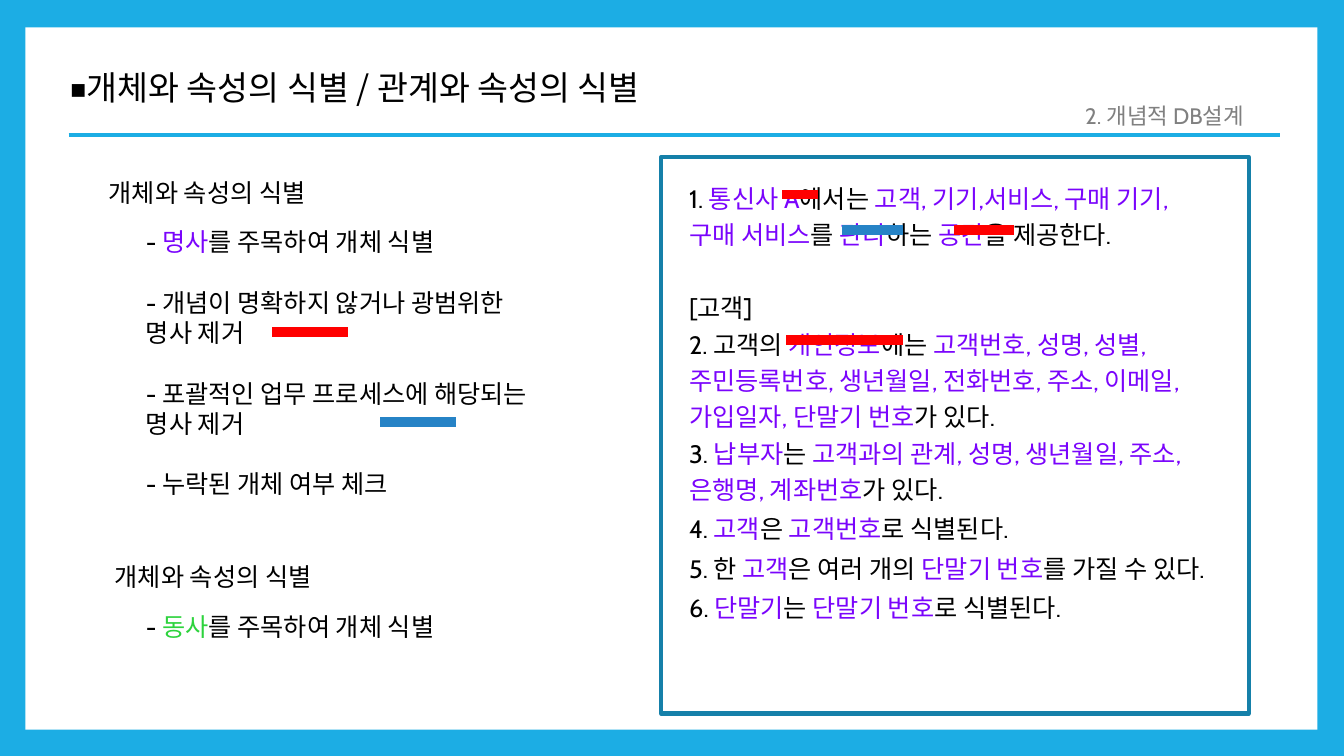
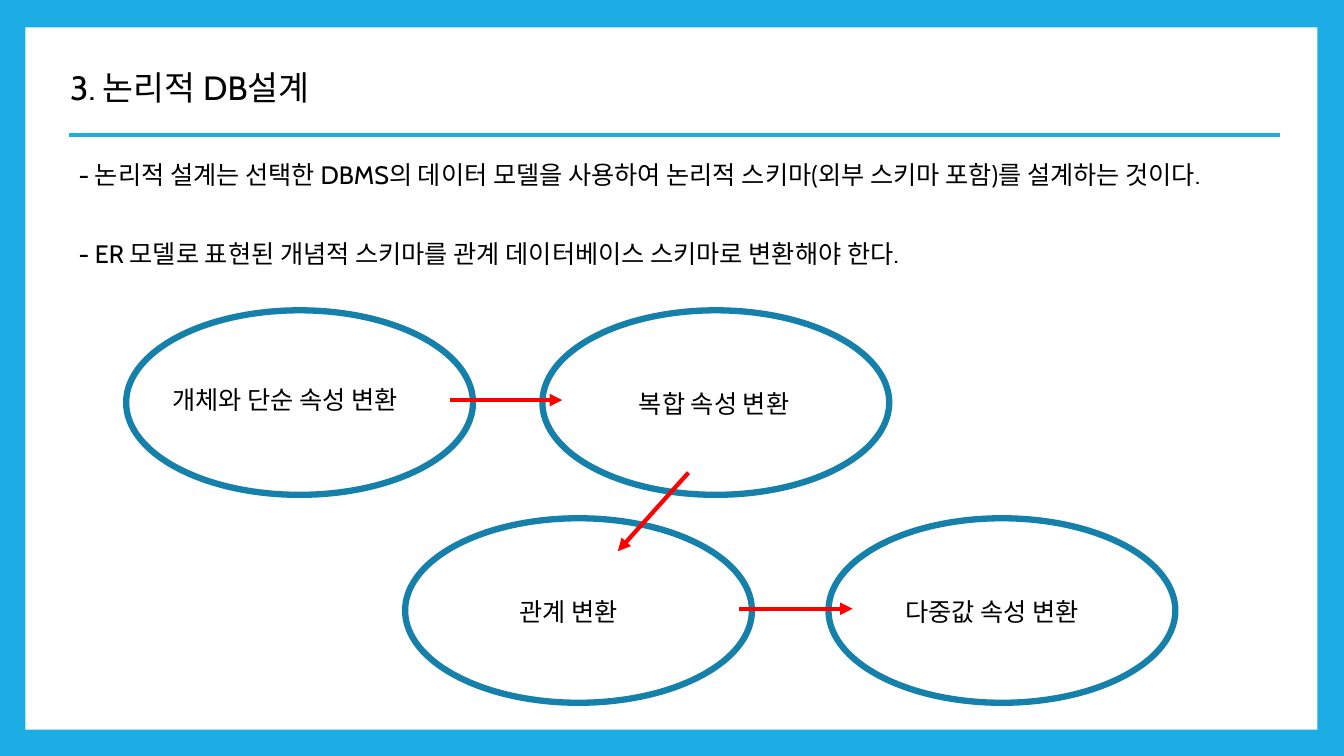
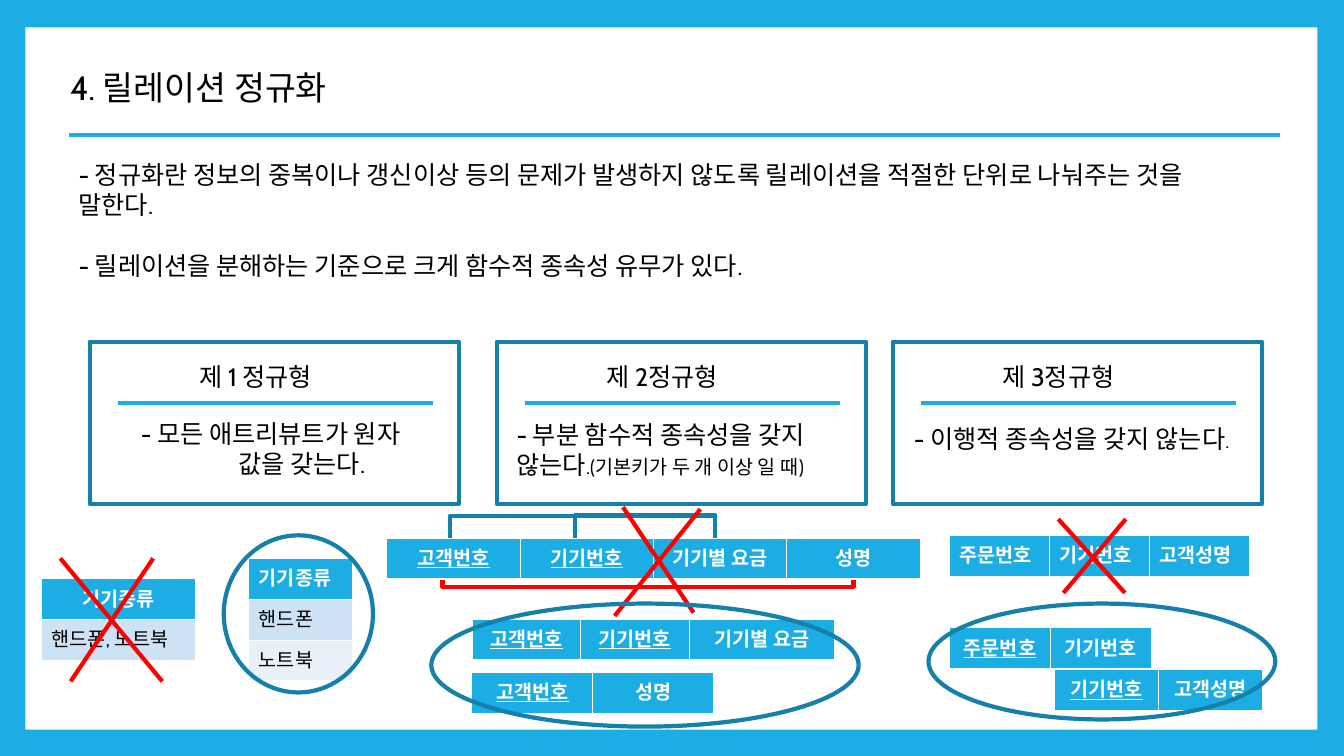
"""Build three slides on database design and normalization."""
from dataclasses import dataclass

from lxml import etree
from pptx import Presentation
from pptx.dml.color import RGBColor
from pptx.enum.shapes import MSO_CONNECTOR, MSO_SHAPE
from pptx.enum.text import MSO_ANCHOR, PP_ALIGN
from pptx.oxml.ns import qn
from pptx.util import Cm, Pt

RECTANGLE, OVAL = MSO_SHAPE.RECTANGLE, MSO_SHAPE.OVAL
STRAIGHT = MSO_CONNECTOR.STRAIGHT
LEFT, CENTER = PP_ALIGN.LEFT, PP_ALIGN.CENTER
MIDDLE = MSO_ANCHOR.MIDDLE


@dataclass(frozen=True)
class Theme:
    """Colours, fonts, type sizes and line widths of the deck."""
    sky: str = "1CADE4"
    outline: str = "1580A9"
    blue: str = "2683C6"
    red: str = "FF0000"
    violet: str = "7A04FC"
    green: str = "2DD33D"
    gray: str = "808080"
    black: str = "000000"
    white: str = "FFFFFF"
    bands: tuple = ("E8F1FA", "CDE3F5")
    font: str = "Cabin"
    title_font: str = "Noto Sans CJK KR"
    title: float = 24
    body: float = 18
    tag: float = 16
    small: float = 14
    blank_line: float = 21.6
    thin: float = 3
    thick: float = 4.5
    marker: float = 7


THEME = Theme()


def color(code):
    """Return the colour for a hexadecimal code."""
    return RGBColor.from_string(code)


def style_paragraph(para, size, code, font=THEME.font, align=LEFT):
    """Set the font and alignment of a whole paragraph."""
    para.alignment = align
    para.font.size = Pt(size)
    para.font.name = font
    para.font.color.rgb = color(code)
    defaults = para._p.get_or_add_pPr().get_or_add_defRPr()
    etree.SubElement(defaults, qn("a:ea")).set("typeface", font)


def fill_paragraph(para, text, accent=None, accent_size=None):
    """Write text in which pieces between asterisks are accented."""
    for index, piece in enumerate(text.split("*")):
        if not piece:
            continue
        span = para.add_run()
        span.text = piece
        if index % 2 and accent:
            span.font.color.rgb = color(accent)
        if index % 2 and accent_size:
            span.font.size = Pt(accent_size)


def add_text(page, box, lines, size=THEME.body, code=THEME.black, font=THEME.font,
             align=LEFT, gap=0, accent=None, accent_size=None):
    """Add a wrapping text box with one paragraph a line and return its paragraphs."""
    frame = page.shapes.add_textbox(*map(Cm, box)).text_frame
    frame.word_wrap = True
    for index, text in enumerate(lines):
        para = frame.add_paragraph() if index else frame.paragraphs[0]
        style_paragraph(para, size, code, font, align)
        if index and gap:
            para.space_before = Pt(gap)
        fill_paragraph(para, text, accent, accent_size)
    return frame.paragraphs


def add_outline(page, box, kind=RECTANGLE, code=THEME.outline, width=THEME.thin):
    """Add an unfilled shape with a coloured outline."""
    shape = page.shapes.add_shape(kind, *map(Cm, box))
    shape.shadow.inherit = False
    shape.fill.background()
    shape.line.color.rgb = color(code)
    shape.line.width = Pt(width)


def add_line(page, ends, code=THEME.red, width=THEME.thin, arrow=False):
    """Add a straight line, with an arrowhead at its end if asked."""
    line = page.shapes.add_connector(STRAIGHT, *map(Cm, ends))
    line.line.color.rgb = color(code)
    line.line.width = Pt(width)
    if arrow:
        head = etree.SubElement(line.line._get_or_add_ln(), qn("a:tailEnd"))
        head.set("type", "triangle")
    etree.SubElement(line._element.spPr, qn("a:effectLst"))


def add_marks(page, left, top, marks):
    """Add thick horizontal strokes given as offset, length and colour."""
    for x, y, length, code in marks:
        ends = (left + x, top + y, left + x + length, top + y)
        add_line(page, ends, code, THEME.marker)


def add_grid(page, left, top, widths, rows, keys=0, align=CENTER):
    """Add a table with a header row whose first keys are underlined."""
    height = 1.03
    box = (left, top, sum(widths), height * len(rows))
    table = page.shapes.add_table(len(rows), len(widths), *map(Cm, box)).table
    for column, width in zip(table.columns, widths):
        column.width = Cm(width)
    for row_index, row in enumerate(rows):
        header = row_index == 0
        table.rows[row_index].height = Cm(height)
        for column_index, text in enumerate(row):
            cell = table.cell(row_index, column_index)
            cell.vertical_anchor = MIDDLE
            cell.fill.solid()
            cell.fill.fore_color.rgb = color(
                THEME.sky if header else THEME.bands[row_index % 2])
            para = cell.text_frame.paragraphs[0]
            fill_paragraph(para, text)
            style_paragraph(para, THEME.small, THEME.white if header else THEME.black,
                            align=align if header else LEFT)
            para.font.bold = header
            para.font.underline = header and column_index < keys


def add_page(deck, title, font=THEME.font):
    """Add a slide with the white panel, title and rule."""
    page = deck.slides.add_slide(deck.slide_layouts[6])
    panel = page.shapes.add_shape(RECTANGLE, Cm(0.64), Cm(0.69), Cm(32.56), Cm(17.7))
    panel.shadow.inherit = False
    panel.fill.solid()
    panel.fill.fore_color.rgb = color(THEME.white)
    panel.line.fill.background()
    add_text(page, (1.52, 1.57, 22.4, 1.28), [title], THEME.title, font=font)
    add_line(page, (1.73, 3.4, 32.26, 3.4), THEME.sky)
    return page


def add_section(page, left, top, indent, heading, bullets, accent):
    """Add a heading with its list of points below."""
    add_text(page, (left, top, 8.66, 1), [heading], align=CENTER)
    add_text(page, (left + indent, top + 1.25, 10.67, 1.8), bullets,
             gap=THEME.blank_line, accent=accent)


def add_requirements(page, left, top, width, height):
    """Add the framed requirements with the struck nouns."""
    add_outline(page, (left, top, width, height))
    lines = [
        "1. *통신사 A*에서는 *고객, 기기,서비스, 구매 기기, 구매 서비스*를 *관리*하는 *공간*을 제공한다.",
        "[고객]",
        "2. 고객의 *개인정보*에는 *고객번호, 성명, 성별, 주민등록번호, 생년월일, 전화번호, 주소, "
        "이메일, 가입일자, 단말기 번호*가 있다.",
        "3. *납부자*는 *고객과의 관계, 성명, 생년월일, 주소, 은행명, 계좌번호*가 있다.",
        "4. *고객*은 *고객번호*로 식별된다.",
        "5. 한 *고객*은 여러 개의 *단말기 번호*를 가질 수 있다.",
        "6. *단말기*는 *단말기 번호*로 식별된다.",
    ]
    box = (left + 0.46, top + 0.38, width - 1.25, height - 1.45)
    paras = add_text(page, box, lines, accent=THEME.violet)
    for index, para in enumerate(paras):
        para.line_spacing = Pt(26 if index < 4 else 28)
    paras[1].space_before = Pt(26)
    add_marks(page, left, top, [
        (3.05, 0.94, 0.91, THEME.red), (7.39, 1.84, 1.5, THEME.red),
        (4.57, 1.84, 1.53, THEME.blue), (3.15, 4.6, 2.95, THEME.red)])


def add_step(page, left, top, label, x, y):
    """Add an ellipse with a label at an offset inside it."""
    add_outline(page, (left, top, 8.74, 4.65), OVAL, width=THEME.thick)
    add_text(page, (left + x, top + y, 6.73, 1), [label])


def add_form_card(page, left, top, heading, body, x, y, width, hanging=0):
    """Add a framed normal form with its heading, rule and definition."""
    add_outline(page, (left, top, 9.3, 4.09))
    add_line(page, (left + 0.71, top + 1.55, left + 8.66, top + 1.55), THEME.sky)
    add_text(page, (left + 2.51, top + 0.38, 4.32, 1.04), [heading])
    paras = add_text(page, (left + x, top + y, width, 1.8), [body],
                     accent_size=THEME.small)
    if hanging:
        properties = paras[0]._p.get_or_add_pPr()
        properties.set("marL", str(Cm(hanging)))
        properties.set("indent", str(-Cm(hanging)))


def add_example(page, left, top, grids, strikes, ring, brackets=()):
    """Add brackets, tables, the crossing strokes and the ring of one example."""
    for x, y, width, height, code in brackets:
        add_outline(page, (left + x, top + y, width, height), code=code)
    for x, y, *details in grids:
        add_grid(page, left + x, top + y, *details)
    for x1, y1, x2, y2 in strikes:
        add_line(page, (left + x1, top + y1, left + x2, top + y2))
    x, y, width, height = ring
    add_outline(page, (left + x, top + y, width, height), OVAL)


def build_identification(deck):
    """Build the slide on identifying entities, relations and attributes."""
    page = add_page(deck, "◾개체와 속성의 식별 / 관계와 속성의 식별", THEME.title_font)
    add_text(page, (27.1, 2.46, 5.16, 0.93), ["2. 개념적 DB설계"], THEME.tag, THEME.gray)
    add_requirements(page, 16.66, 3.96, 14.81, 14.02)
    heading = "개체와 속성의 식별"
    add_section(page, 0.89, 4.34, 2.54, heading, [
        "- *명사*를 주목하여 개체 식별",
        "- 개념이 명확하지 않거나 광범위한 명사 제거",
        "- 포괄적인 업무 프로세스에 해당되는 명사 제거",
        "- 누락된 개체 여부 체크"], THEME.violet)
    add_marks(page, 0.89, 4.34, [
        (5.97, 4.02, 1.9, THEME.red), (8.69, 6.3, 1.9, THEME.blue)])
    add_section(page, 1.04, 14.02, 2.39, heading,
                ["- *동사*를 주목하여 개체 식별"], THEME.green)


def build_logical_design(deck):
    """Build the slide on logical design and its four conversions."""
    page = add_page(deck, "3. 논리적 DB설계")
    add_text(page, (1.73, 3.89, 30.53, 1), [
        "- 논리적 설계는 선택한 DBMS의 데이터 모델을 사용하여 논리적 스키마(외부 스키마 포함)를 설계하는 것이다."])
    add_text(page, (1.73, 5.87, 29.46, 1), [
        "- ER 모델로 표현된 개념적 스키마를 관계 데이터베이스 스키마로 변환해야 한다."])
    for step in [
        (3.18, 7.82, "개체와 단순 속성 변환", 0.91, 1.75),
        (13.67, 7.82, "복합 속성 변환", 2.18, 1.83),
        (10.21, 13.06, "관계 변환", 2.64, 1.85),
        (20.88, 13.06, "다중값 속성 변환", 1.68, 1.85),
    ]:
        add_step(page, *step)
    for ends in [(11.33, 10.08, 14.17, 10.08), (18.62, 15.34, 21.49, 15.34),
                 (17.35, 11.91, 15.57, 13.89)]:
        add_line(page, ends, arrow=True)


def build_normalization(deck):
    """Build the slide on the three normal forms."""
    page = add_page(deck, "4. 릴레이션 정규화")
    add_text(page, (1.73, 3.89, 29.46, 1.8), [
        "- 정규화란 정보의 중복이나 갱신이상 등의 문제가 발생하지 않도록 릴레이션을 적절한 단위로 나눠주는 것을 말한다.",
        "- 릴레이션을 분해하는 기준으로 크게 함수적 종속성 유무가 있다."], gap=THEME.blank_line)
    for left, *card in [
        (2.26, "제 1 정규형", "- 모든 애트리뷰트가 원자 값을 갖는다.", 1.04, 1.8, 7.62, 2.46),
        (12.52, "제 2정규형", "- 부분 함수적 종속성을 갖지 않는다*.(기본키가 두 개 이상 일 때)*",
         0.25, 1.83, 8.71),
        (22.5, "제 3정규형", "- 이행적 종속성을 갖지 않는다*.*", 0.28, 1.93, 9.02),
    ]:
        add_form_card(page, left, 8.61, *card)

    device, customer, number = "기기종류", "고객번호", "기기번호"
    fee, name, order, buyer = "기기별 요금", "성명", "주문번호", "고객성명"
    add_example(
        page, 1, 13,
        [(0.04, 1.58, [3.89], [[device], ["핸드폰, 노트북"]]),
         (5.27, 1.07, [2.62], [[device], ["핸드폰"], ["노트북"]], 0, LEFT)],
        [(0.52, 1.07, 3.09, 4.17), (2.86, 1.07, 0.78, 4.17)],
        (4.64, 0.49, 3.76, 3.96))
    add_example(
        page, 9.7, 13,
        [(0.05, 0.56, [3.36] * 4, [[customer, number, fee, name]], 2),
         (2.21, 2.6, [2.72, 2.74, 3.66], [[customer, number, fee]], 2),
         (2.19, 3.94, [3.05] * 2, [[customer, name]], 1)],
        [(6, -0.22, 7.78, 2.44), (7.95, -0.17, 5.79, 2.52)],
        (1.17, 2.21, 10.77, 3.1),
        [(1.45, 1.15, 10.36, 0.64, THEME.red),
         (4.8, -0.02, 3.53, 0.79, THEME.outline),
         (1.65, 0, 6.68, 0.71, THEME.outline)])
    add_example(
        page, 23.4, 13,
        [(0.53, 0.49, [2.52] * 3, [[order, number, buyer]], 0, LEFT),
         (3.17, 3.87, [2.62] * 2, [[number, buyer]], 1),
         (0.53, 2.82, [2.54] * 2, [[order, number]], 1)],
        [(3.27, 0.08, 4.95, 1.94), (4.97, 0.08, 3.4, 1.94)],
        (0, 2.21, 8.74, 2.92))


def main():
    """Build and save the deck."""
    deck = Presentation()
    deck.slide_width, deck.slide_height = Cm(33.87), Cm(19.05)
    backdrop = deck.slide_master.background.fill
    backdrop.solid()
    backdrop.fore_color.rgb = color(THEME.sky)
    build_identification(deck)
    build_logical_design(deck)
    build_normalization(deck)
    deck.save("out.pptx")


if __name__ == "__main__":
    main()
